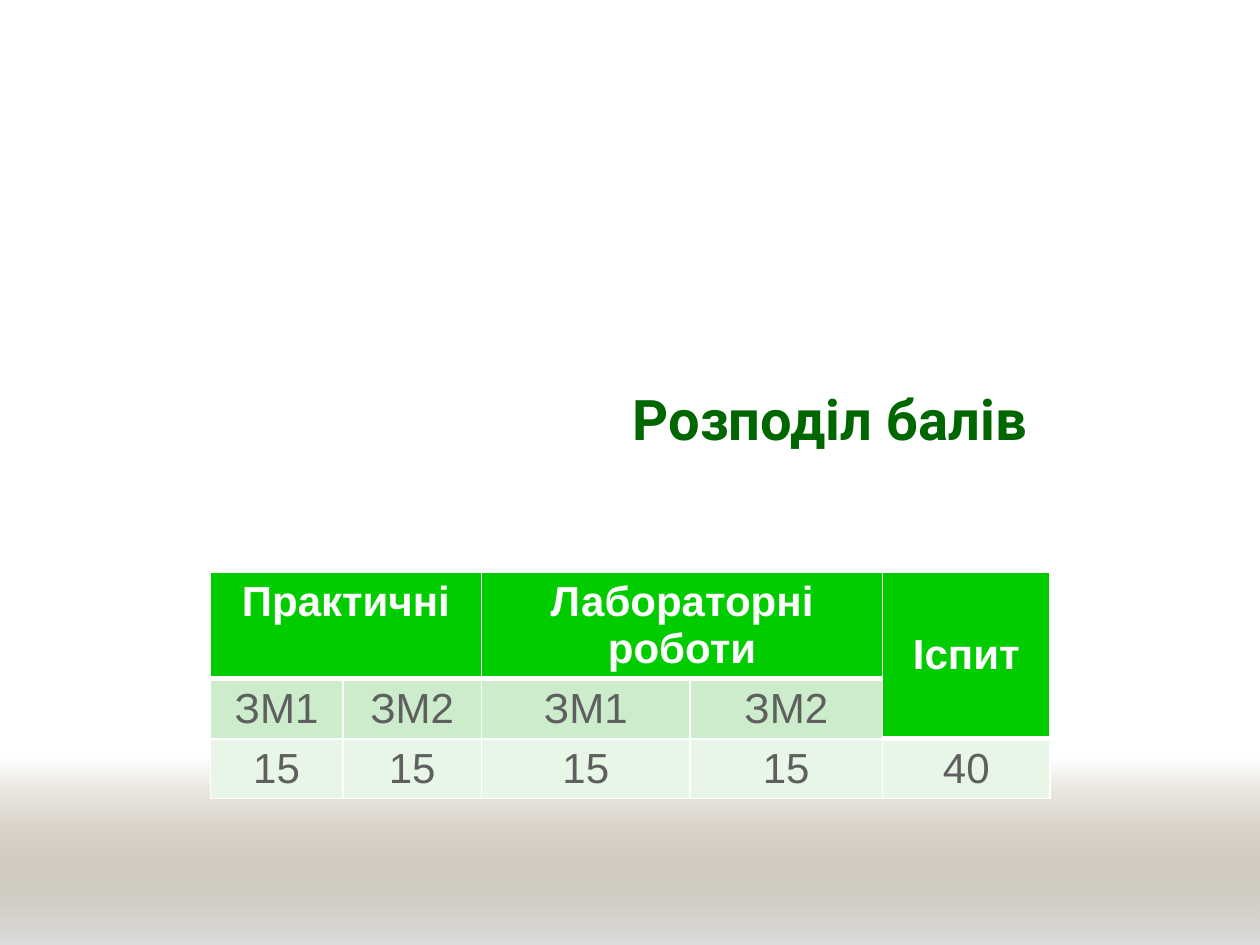
import pptx
import pptx.util
import pptx.dml.color
import pptx.enum.shapes
import pptx.enum.text
import pptx.oxml
import pptx.oxml.ns
from pptx.util import Cm

COLORS = {
    "title": "006600",
    "header": "00CC00",
    "modules": "CCECCC",
    "points": "E7F6E7",
    "text": "5F5F5F",
    "white": "FFFFFF",
    "band_top": "765E2F",
    "band_bottom": "DDDDDD",
}
ROWS = [
    ["Практичні", "", "Лабораторні роботи", "", "Іспит"],
    ["ЗМ1", "ЗМ2", "ЗМ1", "ЗМ2", ""],
    ["15", "15", "15", "15", "40"],
]
COLUMN_WIDTHS = [2.67, 2.8, 4.2, 3.88, 3.38]
ROW_HEIGHTS = [2.12, 1.22, 1.2]
MERGES = [((0, 0), (0, 1)), ((0, 2), (0, 3)), ((0, 4), (1, 4))]
EXAM_COLUMN = 4


def color(key):
    return pptx.dml.color.RGBColor.from_string(COLORS[key])


def style_font(paragraph, name, size, key, bold):
    for run in paragraph.runs:
        run.font.name = name
        run.font.size = pptx.util.Pt(size)
        run.font.bold = bold
        run.font.color.rgb = color(key)


def add_band(slide, left, top, width, height):
    """Ground band that fades in from the white background."""
    band = slide.shapes.add_shape(
        pptx.enum.shapes.MSO_SHAPE.RECTANGLE, left, top, width, height)
    band.shadow.inherit = False
    band.line.fill.background()
    band.fill.gradient()
    band.fill.gradient_angle = 270
    for stop, key in zip(band.fill.gradient_stops, ("band_top", "band_bottom")):
        stop.color.rgb = color(key)
    # The upper stop is fully transparent
    upper = band.element.xpath(".//a:gs/a:srgbClr")[0]
    upper.append(pptx.oxml.parse_xml(
        f'<a:alpha {pptx.oxml.ns.nsdecls("a")} val="0"/>'))


def place_title(slide, left, top, width, height):
    title = slide.shapes.title
    title.left, title.top, title.width, title.height = left, top, width, height
    title.text_frame.text = "Розподіл балів"
    title.text_frame.vertical_anchor = pptx.enum.text.MSO_ANCHOR.MIDDLE
    heading = title.text_frame.paragraphs[0]
    heading.alignment = pptx.enum.text.PP_ALIGN.LEFT
    style_font(heading, "Roboto", 32, "title", True)


def set_borders(cell, top, bottom):
    properties = cell._tc.get_or_add_tcPr()
    for side, points in (("L", 1), ("R", 1), ("T", top), ("B", bottom)):
        properties.append(pptx.oxml.parse_xml(
            f'<a:ln{side} {pptx.oxml.ns.nsdecls("a")} w="{pptx.util.Pt(points)}">'
            f'<a:solidFill><a:srgbClr val="{COLORS["white"]}"/></a:solidFill>'
            f'</a:ln{side}>'))


def add_points_table(slide, left, top, width, height):
    points = slide.shapes.add_table(
        len(ROWS), len(COLUMN_WIDTHS), left, top, width, height).table
    for column, share in zip(points.columns, COLUMN_WIDTHS):
        column.width = int(width * share / sum(COLUMN_WIDTHS))
    for row, share in zip(points.rows, ROW_HEIGHTS):
        row.height = int(height * share / sum(ROW_HEIGHTS))
    for first, last in MERGES:
        points.cell(*first).merge(points.cell(*last))

    for r, labels in enumerate(ROWS):
        for c, label in enumerate(labels):
            cell = points.cell(r, c)
            is_exam_header = c == EXAM_COLUMN and r < 2
            is_header = r == 0 or is_exam_header
            below_header = r == (2 if c == EXAM_COLUMN else 1)
            set_borders(cell, 3 if below_header else 1, 3 if is_header else 1)
            cell.fill.solid()
            cell.fill.fore_color.rgb = color(
                "header" if is_header else ("modules", "points")[r - 1])
            if not label:
                continue
            cell.text_frame.text = label
            if r > 0 or is_exam_header:
                cell.vertical_anchor = pptx.enum.text.MSO_ANCHOR.MIDDLE
            paragraph = cell.text_frame.paragraphs[0]
            paragraph.alignment = pptx.enum.text.PP_ALIGN.CENTER
            style_font(paragraph, "Arial", 24,
                       "white" if is_header else "text", is_header)


def main():
    presentation = pptx.Presentation()
    presentation.slide_width, presentation.slide_height = Cm(25.4), Cm(19.05)
    slide = presentation.slides.add_slide(presentation.slide_layouts[5])
    add_band(slide, 0, Cm(15.32), Cm(25.4), Cm(3.73))
    place_title(slide, Cm(12.5), Cm(7.34), Cm(11.91), Cm(2.18))
    add_points_table(slide, Cm(4.24), Cm(11.53), Cm(16.93), Cm(4.54))
    presentation.save("out.pptx")


if __name__ == "__main__":
    main()
